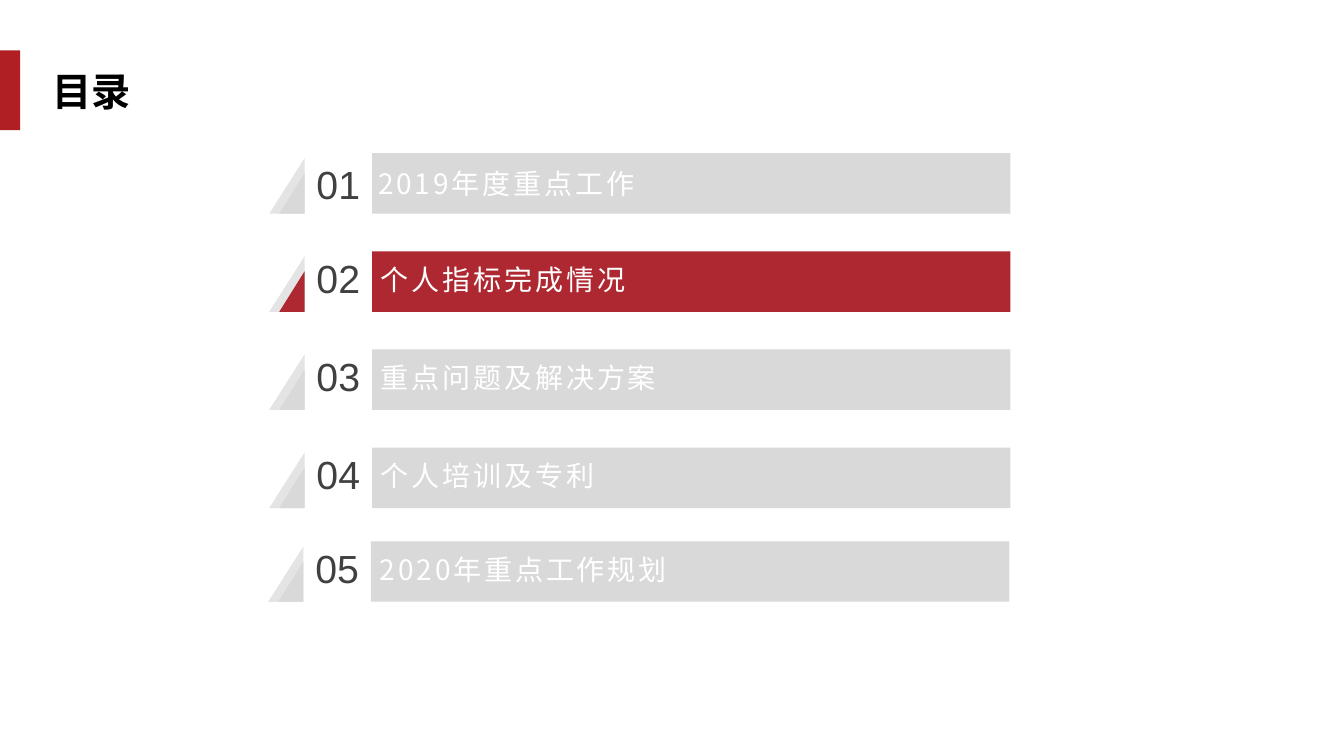
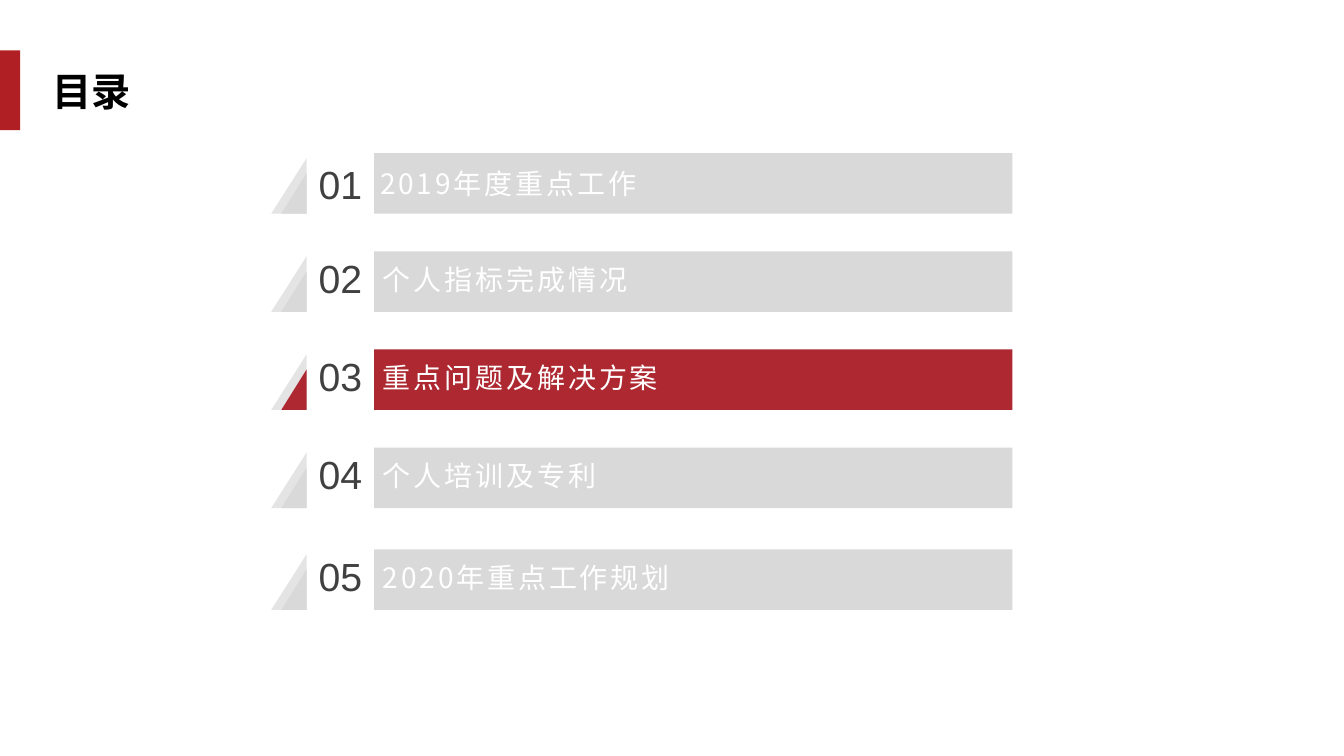
from dataclasses import dataclass

from pptx import Presentation
from pptx.dml.color import RGBColor
from pptx.enum.shapes import MSO_SHAPE
from pptx.enum.text import MSO_ANCHOR, MSO_AUTO_SIZE, PP_ALIGN
from pptx.oxml.ns import qn
from pptx.util import Inches, Pt

COLORS = {
    "band": "B01F24",
    "title": "000000",
    "active": "AD2830",
    "idle": "D9D9D9",
    "edge": "E4E4E4",
    "number": "404040",
    "label": "FFFFFF",
}
HAN = "Noto Sans CJK SC"
LATIN = "Arial"

TOP = 1.52
STEP = (4.44 - TOP) / 3
HIGH = 0.6
LABELS = (
    "2019年度重点工作",
    "个人指标完成情况",
    "重点问题及解决方案",
    "个人培训及专利",
    "2020年重点工作规划",
)


@dataclass(frozen=True)
class Style:
    size: int
    font: str
    color: str
    bold: bool = False
    gap: int = 0  # letter spacing in points


@dataclass(frozen=True)
class Agenda:
    left: float
    active: int
    last_left: float
    last_top: float


TITLE = Style(28, HAN, "title", bold=True)
NUMBER = Style(28, LATIN, "number")
LABEL = Style(20, HAN, "label", gap=2)
AGENDAS = (
    Agenda(left=2.67, active=2, last_left=2.66, last_top=5.37),
    Agenda(left=2.69, active=3, last_left=2.69, last_top=5.45),
)


def paint(shape, color: str) -> None:
    shape.shadow.inherit = False
    shape.fill.solid()
    shape.fill.fore_color.rgb = RGBColor.from_string(COLORS[color])
    shape.line.fill.background()


def write(par, text: str, style: Style) -> None:
    run = par.add_run()
    run.text = text
    font = run.font
    font.size, font.name, font.bold = Pt(style.size), style.font, style.bold
    font.color.rgb = RGBColor.from_string(COLORS[style.color])
    props = font._element
    if style.gap:
        props.set("spc", str(style.gap * 100))
    # East Asian typeface follows the Latin one
    han = props.makeelement(qn("a:ea"), {"typeface": style.font})
    props.find(qn("a:latin")).addnext(han)


def inset(frame, left: float = 0) -> None:
    frame.margin_left = Inches(left)
    frame.margin_top = frame.margin_right = frame.margin_bottom = 0
    frame.vertical_anchor = MSO_ANCHOR.MIDDLE


def add_box(slide, left: float, top: float, width: float, height: float):
    box = slide.shapes.add_textbox(
        Inches(left), Inches(top), Inches(width), Inches(height))
    box.text_frame.word_wrap = True
    return box.text_frame


def add_form(slide, color: str, *parts: list[tuple[float, float]]):
    """Draw one freeform made of closed outlines."""
    outlines = [[(Inches(x), Inches(y)) for x, y in part] for part in parts]
    form = slide.shapes.build_freeform(*outlines[0][0])
    for i, points in enumerate(outlines):
        if i:
            form.move_to(*points[0])
        form.add_line_segments(points[1:], close=True)
    shape = form.convert_to_shape()
    paint(shape, color)
    return shape


def wedge(left: float, right: float, top: float, base: float):
    return [(right, top), (right, base), (left, base)]


def add_header(slide) -> None:
    band = slide.shapes.add_shape(
        MSO_SHAPE.RECTANGLE, 0, Inches(0.5), Inches(0.2), Inches(0.79))
    paint(band, "band")
    frame = add_box(slide, 0.42, 0.62, 0.99, 0.57)
    frame.word_wrap = False
    frame.auto_size = MSO_AUTO_SIZE.SHAPE_TO_FIT_TEXT
    write(frame.paragraphs[0], "目录", TITLE)


def add_row(slide, left: float, top: float, num: int, text: str,
            active: bool) -> None:
    right, base = left + 0.35, top + HIGH
    start, end = left + 1.02, left + 7.35
    first = num == 1

    # Wedges and bar
    add_form(slide, "edge", wedge(left, right, top + 0.05, base))
    bar = add_form(
        slide, "active" if active else "idle",
        wedge(left + 0.1, right, top + 0.2, base),
        [(start, top), (end, top), (end, base), (start, base)])

    # Number
    frame = add_box(slide, right, top - (0 if first else 0.04), 0.67, HIGH)
    inset(frame)
    par = frame.paragraphs[0]
    par.alignment = PP_ALIGN.CENTER
    write(par, f"{num:02}", NUMBER)

    # Label: the first sits in its bar, the rest in boxes
    if first:
        inset(bar.text_frame, 0.98)
        par = bar.text_frame.paragraphs[0]
        par.alignment = PP_ALIGN.LEFT
    else:
        frame = add_box(slide, start - 0.01, top + 0.1, 6.33, 0.39)
        par = frame.paragraphs[0]
        par.line_spacing = 0.9
        par.space_before = Pt(10)
    write(par, text, LABEL)


def add_agenda(slide, agenda: Agenda) -> None:
    add_header(slide)
    for num, text in enumerate(LABELS, 1):
        left, top = agenda.left, TOP + STEP * (num - 1)
        if num == len(LABELS):
            left, top = agenda.last_left, agenda.last_top
        add_row(slide, left, top, num, text, num == agenda.active)


def main() -> None:
    deck = Presentation()
    deck.slide_width, deck.slide_height = Inches(13.33), Inches(7.5)
    for agenda in AGENDAS:
        add_agenda(deck.slides.add_slide(deck.slide_layouts[6]), agenda)
    deck.save("out.pptx")


if __name__ == "__main__":
    main()
